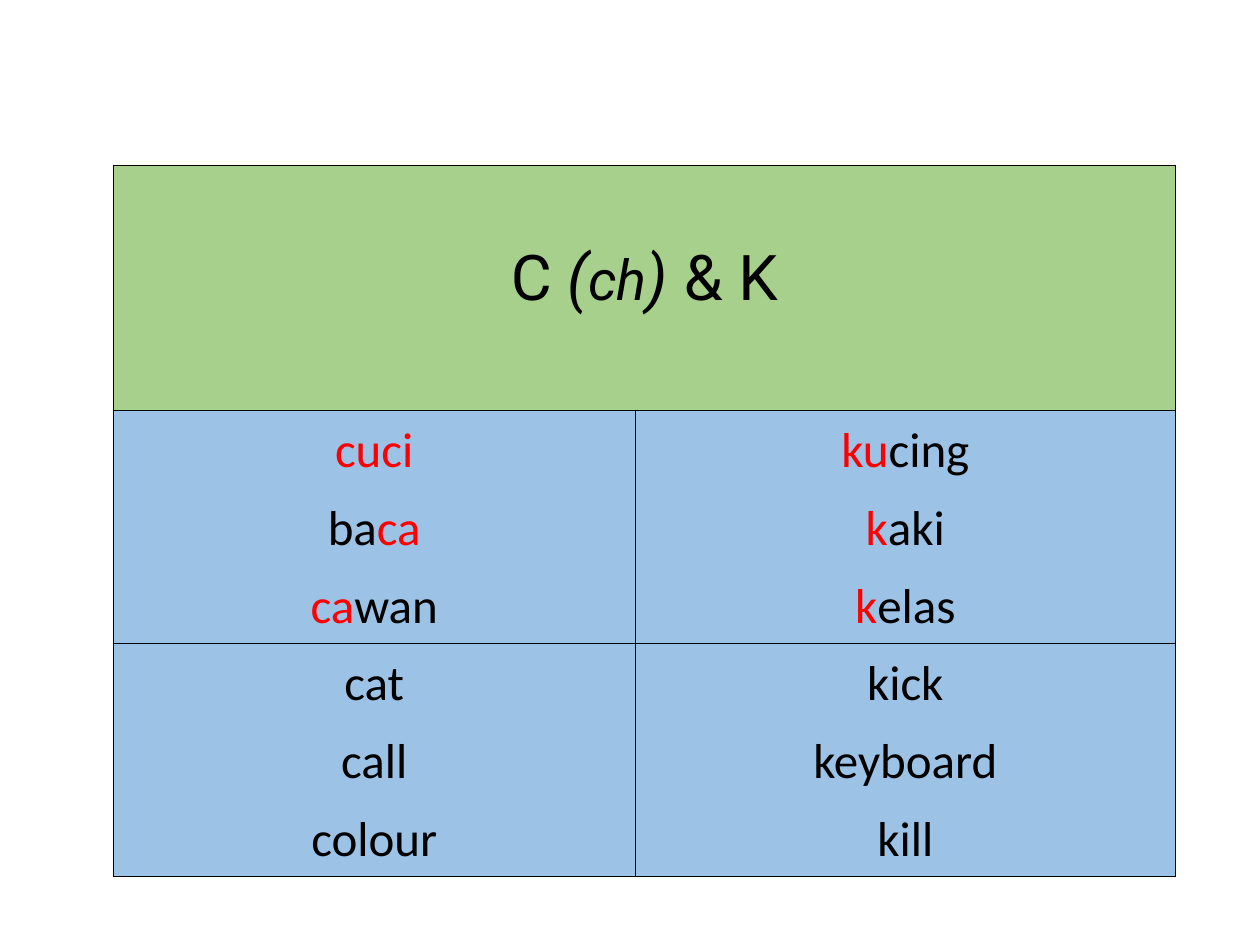
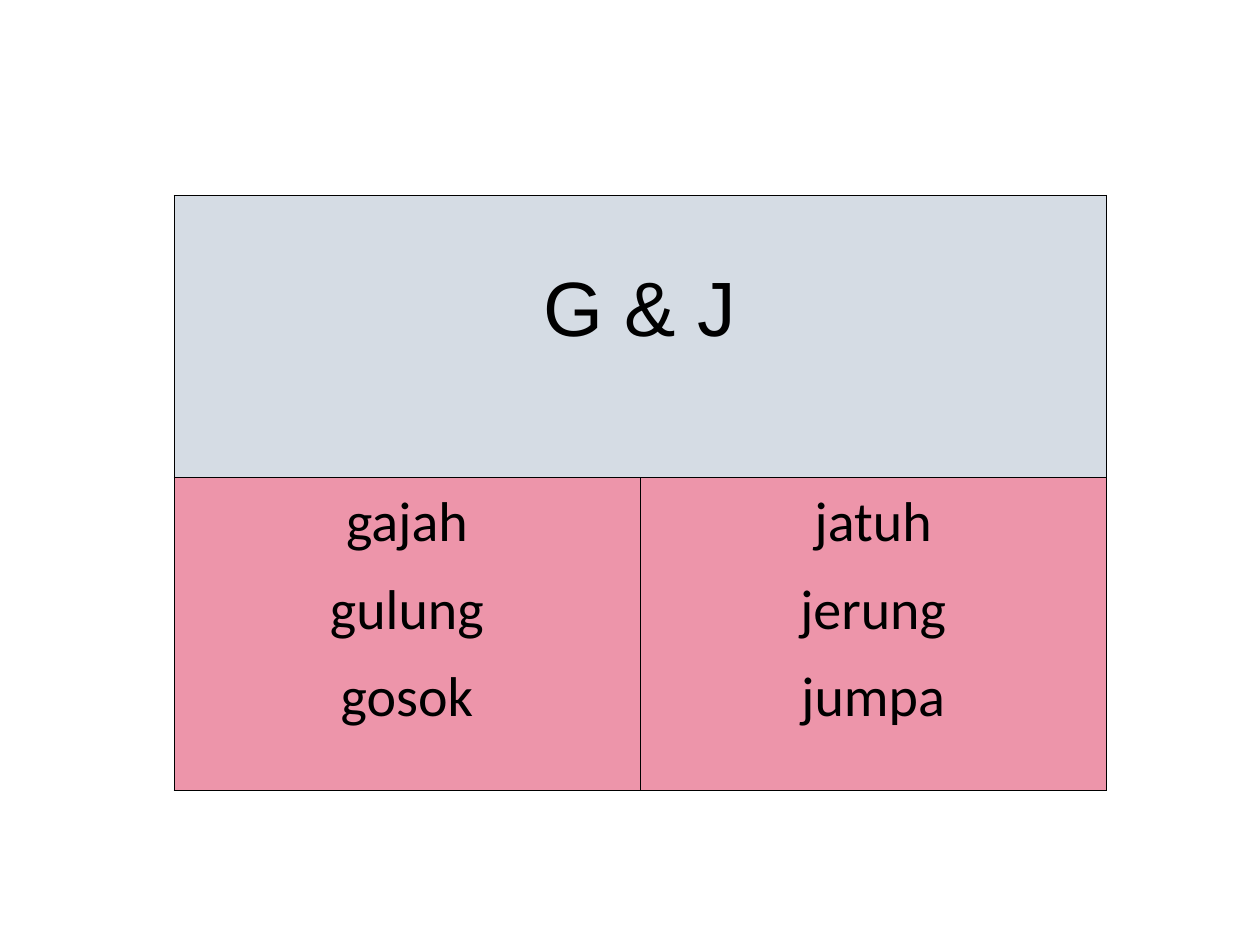
from lxml import etree
from pptx import Presentation
from pptx import util as u
from pptx.dml import color
from pptx.enum import text as t
from pptx.oxml import ns

BLACK = "000000"
RED = "FF0000"
GREEN = "A8D08D"
BLUE = "9CC2E5"
GREY = "D5DCE4"
PINK = "ED95AA"


def rgb(value):
    return color.RGBColor.from_string(value)


def add_text(paragraph, text, font="Calibri", size=28, colour=BLACK, italic=False):
    run = paragraph.add_run()
    run.text = text
    run.font.name = font
    run.font.size = u.Pt(size)
    run.font.italic = italic
    run.font.color.rgb = rgb(colour)


def format_paragraph(paragraph):
    paragraph.alignment = t.PP_ALIGN.CENTER
    paragraph.line_spacing = 1.07
    paragraph.space_after = u.Pt(8)


def add_borders(cell):
    properties = cell._tc.get_or_add_tcPr()
    for side in ("lnL", "lnR", "lnT", "lnB"):
        line = etree.SubElement(properties, ns.qn(f"a:{side}"), w=str(u.Pt(0.45)))
        fill = etree.SubElement(line, ns.qn("a:solidFill"))
        etree.SubElement(fill, ns.qn("a:srgbClr"), val=BLACK)


def style_cell(cell, fill, top_margin=0.05):
    add_borders(cell)
    cell.fill.solid()
    cell.fill.fore_color.rgb = rgb(fill)
    cell.margin_left = cell.margin_right = u.Inches(0.06)
    cell.margin_top = u.Inches(top_margin)
    cell.margin_bottom = u.Inches(0.05)


def fill_heading(table, runs, fill, top_margin):
    heading = table.cell(0, 0)
    heading.merge(table.cell(0, 1))
    for cell in (heading, table.cell(0, 1)):
        style_cell(cell, fill, top_margin)
    paragraph = heading.text_frame.paragraphs[0]
    format_paragraph(paragraph)
    for text, text_format in runs:
        add_text(paragraph, text, **text_format)


def fill_words(cell, words, fill, size):
    """Letters between asterisks are set in red."""
    style_cell(cell, fill)
    frame = cell.text_frame
    for index, word in enumerate(words.split()):
        paragraph = frame.add_paragraph() if index else frame.paragraphs[0]
        format_paragraph(paragraph)
        for position, letters in enumerate(word.split("*")):
            if letters:
                add_text(paragraph, letters, size=size,
                         colour=RED if position % 2 else BLACK)


def add_sound_table(presentation, left, top, widths, heights, heading, heading_fill,
                    heading_margin, word_rows, word_fill, word_size):
    slide = presentation.slides.add_slide(presentation.slide_layouts[6])
    frame = slide.shapes.add_table(
        len(heights), len(widths), u.Inches(left), u.Inches(top),
        u.Inches(sum(widths)), u.Inches(sum(heights)))
    table = frame.table
    table.first_row = False
    table.horz_banding = False
    for column, width in zip(table.columns, widths):
        column.width = u.Inches(width)
    for row, height in zip(table.rows, heights):
        row.height = u.Inches(height)
    fill_heading(table, heading, heading_fill, heading_margin)
    for row_index, word_row in enumerate(word_rows, start=1):
        for column_index, words in enumerate(word_row):
            fill_words(table.cell(row_index, column_index), words, word_fill, word_size)


def main():
    presentation = Presentation()
    presentation.slide_width = u.Inches(10)
    presentation.slide_height = u.Inches(7.5)

    upright = {"font": "Roboto", "size": 36}
    slanted = {**upright, "italic": True}
    add_sound_table(
        presentation, left=0.9, top=1.31, widths=(4.14, 4.29), heights=(1.95, 1.74, 1.74),
        heading=[("C ", upright), ("(", slanted), ("ch", {**slanted, "size": 32}),
                 (") ", slanted), ("& K", upright)],
        heading_fill=GREEN, heading_margin=0.57,
        word_rows=[("*cuci* ba*ca* *ca*wan", "*ku*cing *k*aki *k*elas"),
                   ("cat call colour", "kick keyboard kill")],
        word_fill=BLUE, word_size=28)

    add_sound_table(
        presentation, left=1.38, top=1.55, widths=(3.7, 3.7), heights=(2.24, 2.48),
        heading=[("G & J", {"font": "Arial", "size": 44})],
        heading_fill=GREY, heading_margin=0.52,
        word_rows=[("gajah gulung gosok", "jatuh jerung jumpa")],
        word_fill=PINK, word_size=32)

    presentation.save("out.pptx")


if __name__ == "__main__":
    main()
